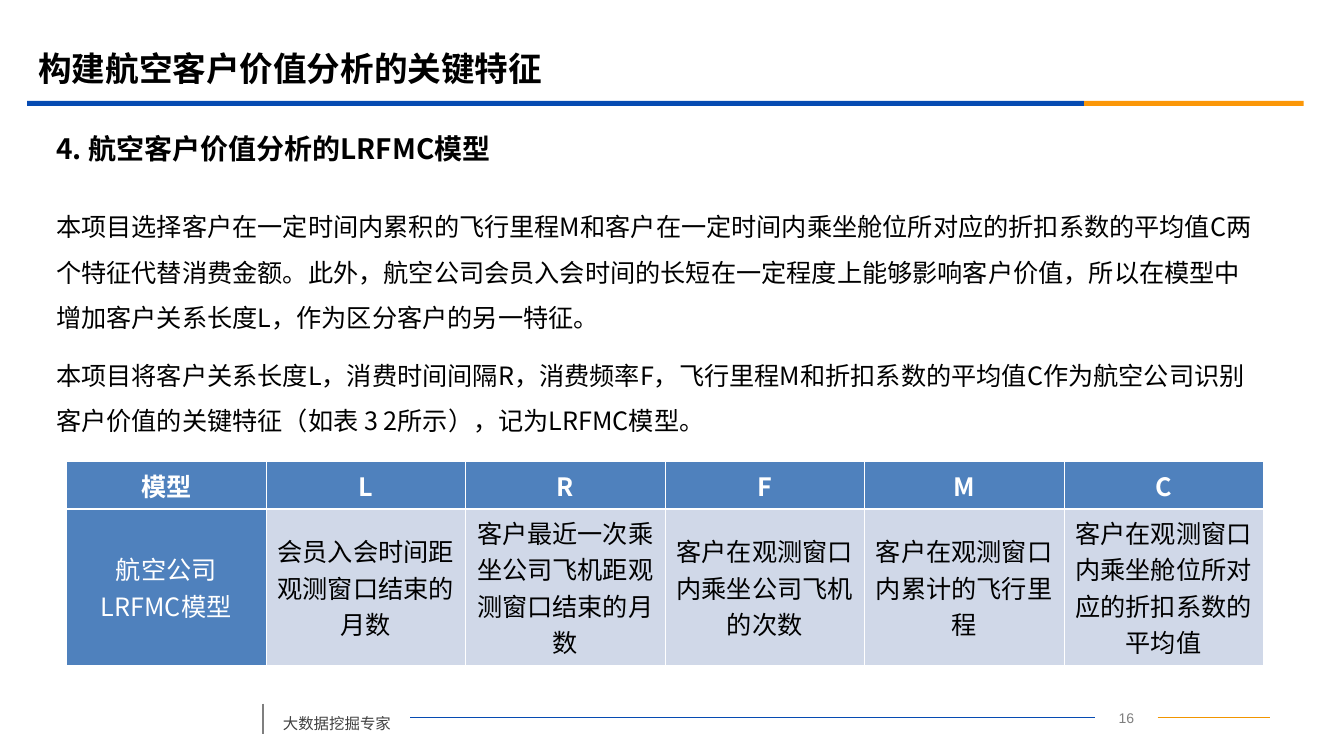
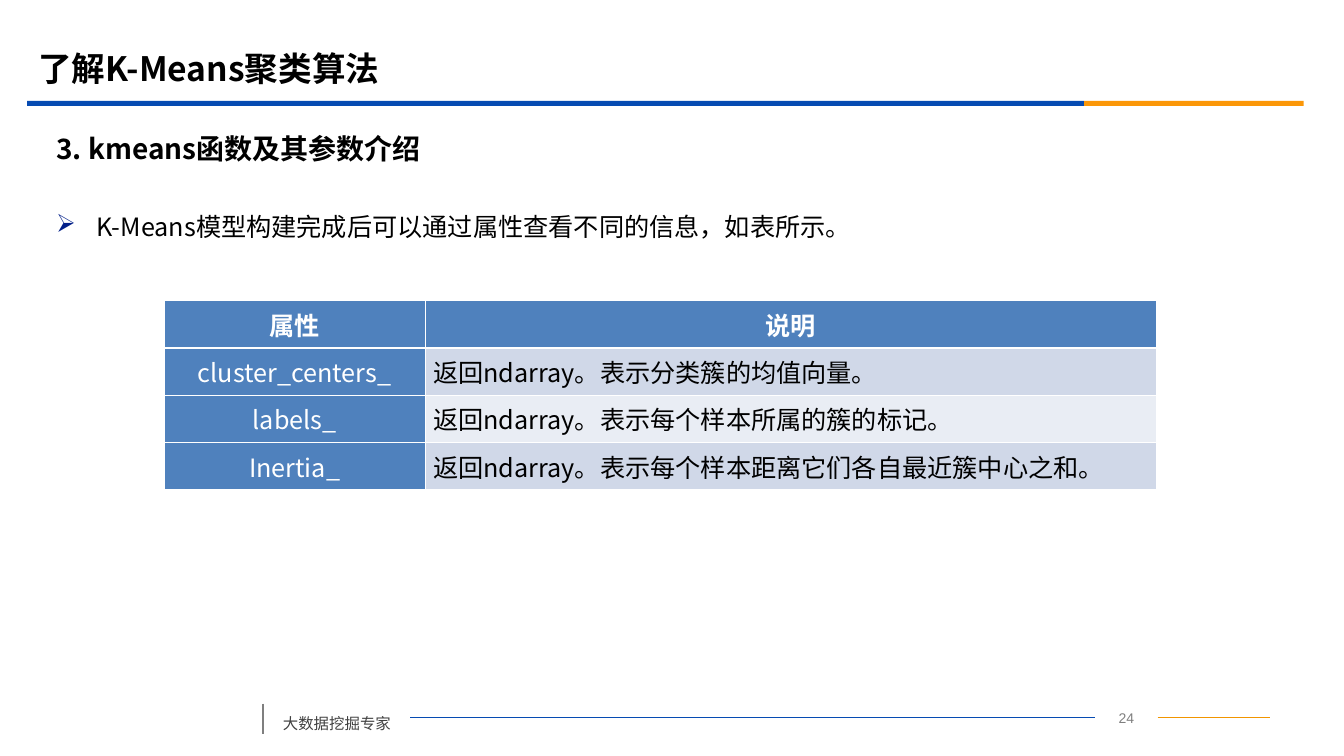
from dataclasses import dataclass
from typing import NamedTuple

from lxml.etree import SubElement
from pptx import Presentation
from pptx.dml.color import RGBColor
from pptx.enum.shapes import MSO_CONNECTOR, MSO_SHAPE
from pptx.enum.text import MSO_ANCHOR, MSO_AUTO_SIZE, PP_ALIGN
from pptx.oxml.ns import qn
from pptx.shapes.autoshape import Shape
from pptx.shapes.connector import Connector
from pptx.slide import Slide
from pptx.table import _Cell
from pptx.text.text import TextFrame
from pptx.util import Pt

EMU_PER_PX = 9144
FONT = "Noto Sans CJK SC"
COLORS = {
    "text": "000000", "white": "FFFFFF", "blue": "064BB2", "orange": "FB9708",
    "footer orange": "F19500", "footer text": "404040", "gray": "7F7F7F",
    "bullet": "032089", "header": "4F81BD", "odd row": "D0D8E8", "even row": "E9EDF4",
}


class Box(NamedTuple):
    """A rectangle in px."""
    left: int
    top: int
    width: int
    height: int


@dataclass(frozen=True)
class TextStyle:
    """Character and paragraph formatting for a text frame."""
    size: int
    color: str = "text"
    bold: bool = False
    font: str = FONT
    align: PP_ALIGN = PP_ALIGN.LEFT
    line_spacing: float = 1.0
    space_before: int = 0


@dataclass(frozen=True)
class Band:
    """A filled bar under the title."""
    box: Box
    color: str


@dataclass(frozen=True)
class TableContent:
    """Position, column widths, row heights and words of a table."""
    left: int
    top: int
    columns: list[int]
    heights: list[int]
    rows: list[list[str]]
    header_margin: int
    body_margin: int
    body_align: PP_ALIGN


@dataclass(frozen=True)
class Page:
    """Everything that differs from slide to slide."""
    number: int
    title: str
    subtitle: str
    body: str
    table: TableContent
    bulleted: bool = False


TITLE_STYLE = TextStyle(24, bold=True)
SUBTITLE_STYLE = TextStyle(20, bold=True, space_before=5)
BODY_STYLE = TextStyle(18, line_spacing=1.5, space_before=9)
FOOTER_STYLE = TextStyle(11, "footer text", line_spacing=1.5, space_before=6)
NUMBER_STYLE = TextStyle(10, "gray", font="Arial", align=PP_ALIGN.CENTER)

TITLE_BOX = Box(28, 39, 1200, 58)
SUBTITLE_BOX = Box(46, 124, 1215, 47)
BODY_BOX = Box(46, 190, 1215, 478)
FOOTER_BOX = Box(271, 694, 136, 36)
NUMBER_BOX = Box(1087, 699, 62, 26)
FOOTER_LINE_Y = 712
BANDS = [Band(Box(27, 100, 1049, 5), "blue"), Band(Box(1076, 100, 218, 5), "orange")]

PAGES = [
    Page(
        16,
        "构建航空客户价值分析的关键特征",
        "4. 航空客户价值分析的LRFMC模型",
        "本项目选择客户在一定时间内累积的飞行里程M和客户在一定时间内乘坐舱位所对应的折扣系数的平均值C"
        "两个特征代替消费金额。此外，航空公司会员入会时间的长短在一定程度上能够影响客户价值，所以在模型"
        "中增加客户关系长度L，作为区分客户的另一特征。\n"
        "本项目将客户关系长度L，消费时间间隔R，消费频率F，飞行里程M和折扣系数的平均值C作为航空公司"
        "识别客户价值的关键特征（如表 3 2所示），记为LRFMC模型。",
        TableContent(
            66, 458, [198] * 6, [47, 120],
            [
                ["模型", *"LRFMC"],
                [
                    "航空公司\nLRFMC模型",
                    "会员入会时间距观测窗口结束的月数",
                    "客户最近一次乘坐公司飞机距观测窗口结束的月数",
                    "客户在观测窗口内乘坐公司飞机的次数",
                    "客户在观测窗口内累计的飞行里程",
                    "客户在观测窗口内乘坐舱位所对应的折扣系数的平均值",
                ],
            ],
            6, 6, PP_ALIGN.CENTER,
        ),
    ),
    Page(
        24,
        "了解K-Means聚类算法",
        "3. kmeans函数及其参数介绍",
        "K-Means模型构建完成后可以通过属性查看不同的信息，如表所示。",
        TableContent(
            163, 298, [259, 726], [47] * 4,
            [
                ["属性", "说明"],
                ["cluster_centers_", "返回ndarray。表示分类簇的均值向量。"],
                ["labels_", "返回ndarray。表示每个样本所属的簇的标记。"],
                ["Inertia_", "返回ndarray。表示每个样本距离它们各自最近簇中心之和。"],
            ],
            4, 8, PP_ALIGN.JUSTIFY,
        ),
        bulleted=True,
    ),
]


def px(length: int) -> int:
    """Turn px into EMU."""
    return length * EMU_PER_PX


def rgb(name: str) -> RGBColor:
    """Look up a colour by name."""
    return RGBColor.from_string(COLORS[name])


def write_text(text_frame: TextFrame, text: str, style: TextStyle) -> None:
    """Set the text and format each paragraph and run."""
    text_frame.text = text
    for paragraph in text_frame.paragraphs:
        paragraph.alignment = style.align
        paragraph.line_spacing = style.line_spacing
        paragraph.space_before = Pt(style.space_before)
        for run in paragraph.runs:
            run.font.size = Pt(style.size)
            run.font.bold = style.bold
            run.font.color.rgb = rgb(style.color)
            run.font.name = style.font
            SubElement(run.font._element, qn("a:ea"), typeface=style.font)


def fill_frame(shape: Shape, text: str, style: TextStyle, anchor: MSO_ANCHOR) -> None:
    """Write wrapped text of a fixed size into a shape."""
    text_frame = shape.text_frame
    text_frame.word_wrap = True
    text_frame.auto_size = MSO_AUTO_SIZE.NONE
    text_frame.vertical_anchor = anchor
    write_text(text_frame, text, style)


def add_text(slide: Slide, box: Box, text: str, style: TextStyle,
             anchor: MSO_ANCHOR = MSO_ANCHOR.TOP) -> Shape:
    """Add a text box."""
    shape = slide.shapes.add_textbox(*map(px, box))
    fill_frame(shape, text, style, anchor)
    return shape


def add_line(slide: Slide, start: tuple[int, int], end: tuple[int, int],
             color: str, width: float) -> Connector:
    """Add a straight line without a shadow."""
    connector = slide.shapes.add_connector(
        MSO_CONNECTOR.STRAIGHT, *map(px, (*start, *end)))
    connector.line.color.rgb = rgb(color)
    connector.line.width = Pt(width)
    SubElement(connector._element.spPr, qn("a:effectLst"))
    return connector


def add_frame(slide: Slide, number: int) -> None:
    """Draw the title bands and the footer."""
    for band in BANDS:
        shape = slide.shapes.add_shape(MSO_SHAPE.RECTANGLE, *map(px, band.box))
        shape.shadow.inherit = False
        shape.fill.solid()
        shape.fill.fore_color.rgb = rgb(band.color)
        shape.line.fill.background()
    footer = add_text(slide, FOOTER_BOX, "大数据挖掘专家", FOOTER_STYLE)
    page_number = add_text(slide, NUMBER_BOX, str(number), NUMBER_STYLE)
    add_line(slide, (261, 698), (261, 728), "gray", 1.25)
    blue_line = add_line(slide, (407, FOOTER_LINE_Y), (1087, FOOTER_LINE_Y), "blue", 0.75)
    blue_line.begin_connect(footer, 3)
    blue_line.end_connect(page_number, 1)
    orange_line = add_line(
        slide, (1149, FOOTER_LINE_Y), (1261, FOOTER_LINE_Y), "footer orange", 0.75)
    orange_line.begin_connect(page_number, 3)


def add_bullets(text_frame: TextFrame) -> None:
    """Give each paragraph an arrow bullet and a hanging indent."""
    for paragraph in text_frame.paragraphs:
        properties = paragraph._p.get_or_add_pPr()
        properties.set("marL", str(px(40)))
        properties.set("indent", str(px(-40)))
        bullet_color = SubElement(properties, qn("a:buClr"))
        SubElement(bullet_color, qn("a:srgbClr"), val=COLORS["bullet"])
        SubElement(properties, qn("a:buChar"), char="➢")


def set_borders(cell: _Cell, row: int) -> None:
    """Draw white borders, thicker between the header and the body."""
    thick_side = {0: "lnB", 1: "lnT"}.get(row)
    properties = cell._tc.get_or_add_tcPr()
    for side in ("lnL", "lnR", "lnT", "lnB"):
        width = Pt(1.47 if side == thick_side else 0.45)
        line = SubElement(properties, qn(f"a:{side}"), w=str(width))
        fill = SubElement(line, qn("a:solidFill"))
        SubElement(fill, qn("a:srgbClr"), val=COLORS["white"])


def format_cell(cell: _Cell, row: int, column: int, content: TableContent) -> None:
    """Write and colour one cell according to its place."""
    is_header = row == 0
    is_label = is_header or column == 0
    stripe = "odd row" if row % 2 else "even row"
    set_borders(cell, row)
    cell.fill.solid()
    cell.fill.fore_color.rgb = rgb("header" if is_label else stripe)
    cell.vertical_anchor = MSO_ANCHOR.MIDDLE
    margin = content.header_margin if is_header else content.body_margin
    cell.margin_left = cell.margin_right = px(margin)
    cell.margin_top = cell.margin_bottom = px(5)
    style = TextStyle(
        18, "white" if is_label else "text", bold=is_header,
        align=PP_ALIGN.CENTER if is_label else content.body_align)
    write_text(cell.text_frame, content.rows[row][column], style)


def add_data_table(slide: Slide, content: TableContent) -> None:
    """Add a table with a header row and a label column."""
    box = Box(content.left, content.top, sum(content.columns), sum(content.heights))
    table = slide.shapes.add_table(
        len(content.heights), len(content.columns), *map(px, box)).table
    for column, width in enumerate(content.columns):
        table.columns[column].width = px(width)
    for row, height in enumerate(content.heights):
        table.rows[row].height = px(height)
        for column in range(len(content.columns)):
            format_cell(table.cell(row, column), row, column, content)


def add_page(presentation: Presentation, page: Page) -> None:
    """Build one slide."""
    slide = presentation.slides.add_slide(presentation.slide_layouts[5])
    add_frame(slide, page.number)
    body = add_text(slide, BODY_BOX, page.body, BODY_STYLE)
    if page.bulleted:
        add_bullets(body.text_frame)
    title = slide.shapes.title
    title.left, title.top, title.width, title.height = map(px, TITLE_BOX)
    fill_frame(title, page.title, TITLE_STYLE, MSO_ANCHOR.MIDDLE)
    add_text(slide, SUBTITLE_BOX, page.subtitle, SUBTITLE_STYLE, MSO_ANCHOR.MIDDLE)
    add_data_table(slide, page.table)


def main() -> None:
    """Build and save the presentation."""
    presentation = Presentation()
    presentation.slide_width = px(1334)
    presentation.slide_height = px(750)
    for page in PAGES:
        add_page(presentation, page)
    presentation.save("out.pptx")


if __name__ == "__main__":
    main()
